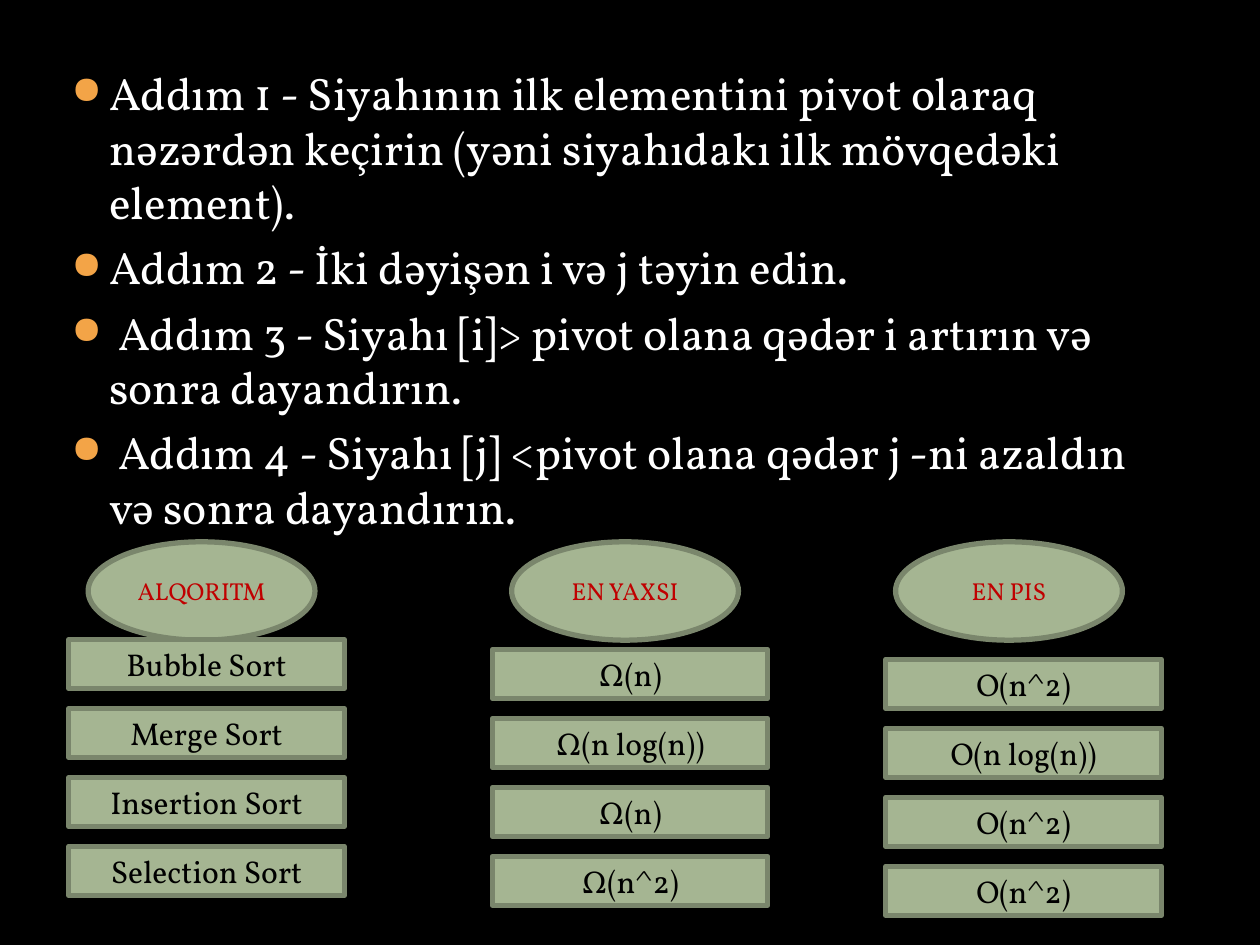
from lxml.etree import SubElement
from pptx import Presentation
from pptx.dml.color import RGBColor
from pptx.enum.shapes import MSO_SHAPE as Preset
from pptx.enum.text import MSO_ANCHOR as Anchor, PP_ALIGN as Align
from pptx.oxml.ns import qn
from pptx.util import Pt

FONT, BULLET_FONT = "Vollkorn", "OpenSymbol"
BLACK, WHITE, RED, ORANGE = "000000", "FFFFFF", "C00000", "F3A447"
SAGE, SAGE_DARK = "A5B592", "7A866C"
HEADER_TOP, HEADER_WIDTH, HEADER_HEIGHT = 309.6, 129.6, 56.2
CELL_WIDTH, CELL_HEIGHT, CELL_PITCH = 157.5, 28, 39.4

STEPS = [
    "Addım 1 - Siyahının ilk elementini pivot olaraq nəzərdən keçirin "
    "(yəni siyahıdakı ilk mövqedəki element).",
    "Addım 2 - İki dəyişən i və j təyin edin.",
    " Addım 3 - Siyahı [i]> pivot olana qədər i artırın və sonra dayandırın.",
    " Addım 4 - Siyahı [j] <pivot olana qədər j -ni azaldın və sonra dayandırın.",
]
# Left, first cell top, header indent, header, cells
COLUMNS = [
    (39.3, 365.5, 11.1, "ALQORITM",
     ["Bubble Sort", "Merge Sort", "Insertion Sort", "Selection Sort"]),
    (281.3, 371.2, 11.1, "EN YAXSI",
     ["Ω(n)", "Ω(n log(n))", "Ω(n)", "Ω(n^2)"]),
    (506.2, 376.8, 5.6, "EN PIS",
     ["O(n^2)", "O(n log(n))", "O(n^2)", "O(n^2)"]),
]


def paint(target, color):
    """Colour a fill or a font."""
    if hasattr(target, "solid"):
        target.solid()
        target.fore_color.rgb = RGBColor.from_string(color)
    else:
        target.color.rgb = RGBColor.from_string(color)


def add_run(paragraph, text, size, color):
    run = paragraph.add_run()
    run.text = text
    run.font.name = FONT
    run.font.size = Pt(size)
    paint(run.font, color)


def add_bullet(paragraph, indent):
    properties = paragraph._p.get_or_add_pPr()
    properties.set("marL", str(Pt(indent)))
    properties.set("indent", str(-Pt(indent)))
    bullet_color = SubElement(properties, qn("a:buClr"))
    SubElement(bullet_color, qn("a:srgbClr"), val=ORANGE)
    SubElement(properties, qn("a:buSzPct"), val="85000")
    SubElement(properties, qn("a:buFont"), typeface=BULLET_FONT)
    SubElement(properties, qn("a:buChar"), char="●")


def add_steps(slide, left, top, width, height):
    text_frame = slide.shapes.add_textbox(
        Pt(left), Pt(top), Pt(width), Pt(height)).text_frame
    text_frame.word_wrap = True
    for index, step in enumerate(STEPS):
        paragraph = text_frame.add_paragraph() if index else text_frame.paragraphs[0]
        paragraph.space_before = Pt(6)
        add_bullet(paragraph, 21.6)
        add_run(paragraph, step, 26, WHITE)


def add_label(slide, preset, left, top, width, height, text, size, color):
    shape = slide.shapes.add_shape(preset, Pt(left), Pt(top), Pt(width), Pt(height))
    shape.shadow.inherit = False
    paint(shape.fill, SAGE)
    paint(shape.line.fill, SAGE_DARK)
    shape.line.width = Pt(3)
    shape.text_frame.word_wrap = True
    shape.text_frame.vertical_anchor = Anchor.MIDDLE
    paragraph = shape.text_frame.paragraphs[0]
    paragraph.alignment = Align.CENTER
    add_run(paragraph, text, size, color)


def add_column(slide, left, top, header_indent, header, cells):
    add_label(slide, Preset.OVAL, left + header_indent, HEADER_TOP,
              HEADER_WIDTH, HEADER_HEIGHT, header, 14, RED)
    for row, cell in enumerate(cells):
        add_label(slide, Preset.RECTANGLE, left, top + row * CELL_PITCH,
                  CELL_WIDTH, CELL_HEIGHT, cell, 18, BLACK)


presentation = Presentation()
presentation.slide_width, presentation.slide_height = Pt(720), Pt(540)
slide = presentation.slides.add_slide(presentation.slide_layouts[6])
paint(slide.background.fill, BLACK)

# Steps
add_steps(slide, 33.8, 33.8, 648, 360)

# Columns
for column in COLUMNS:
    add_column(slide, *column)

presentation.save("out.pptx")
